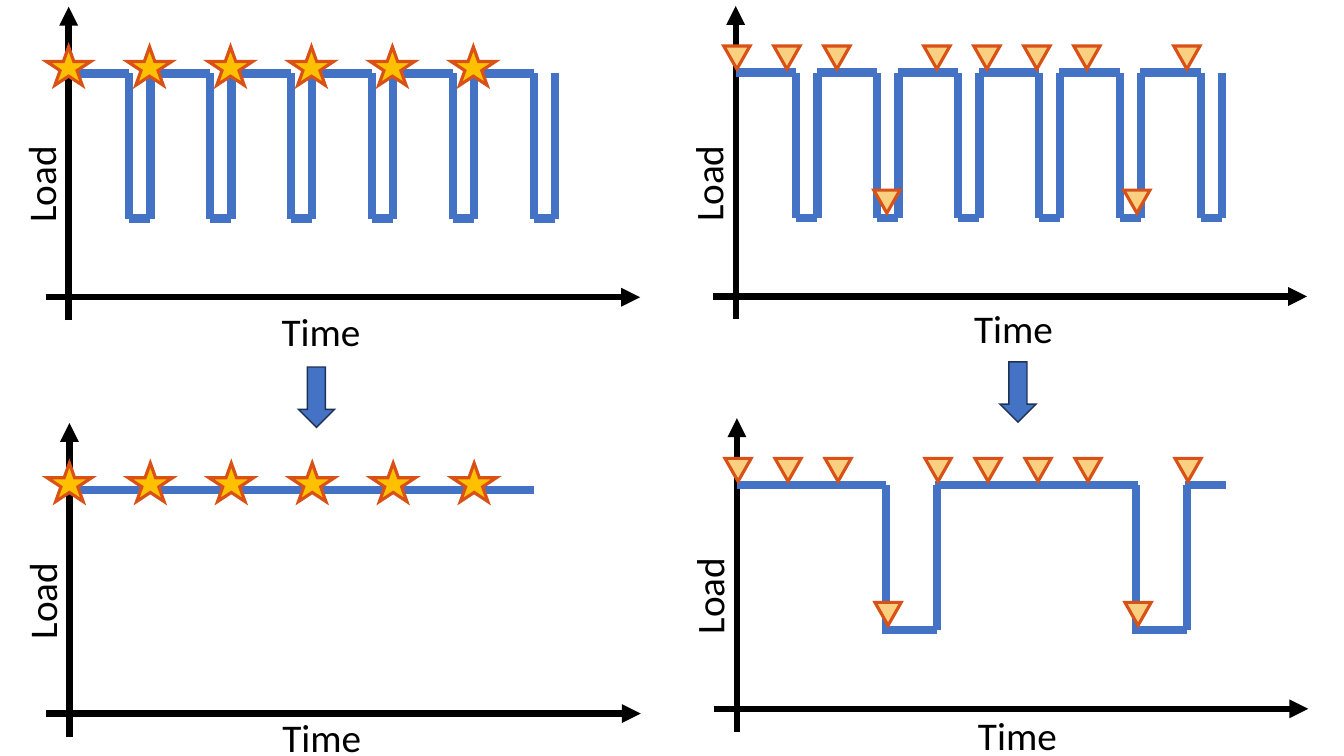
import pptx
import pptx.util
import pptx.dml.color
import pptx.enum.shapes
import pptx.enum.text
import pptx.oxml
import pptx.oxml.ns

Cm, Pt = pptx.util.Cm, pptx.util.Pt
RGB = pptx.dml.color.RGBColor.from_string
MSO = pptx.enum.shapes.MSO_SHAPE
STRAIGHT = pptx.enum.shapes.MSO_CONNECTOR.STRAIGHT
NS = pptx.oxml.ns.nsdecls("a")

COLORS = {"axis": "000000", "load": "4472C4", "star": "FFC000", "triangle": "FAD080",
          "marker_line": "D95117", "arrow_line": "1E3256"}

# Centimetres; heights are measured from the time axis of each panel
HIGH, LOW = -5.64, -1.98
PERIOD, ON = 2.04, 1.52
OFF = 0.54
SAMPLE = 1.26
LABEL_W, LABEL_H = 5.66, 1.45
LOW_SAMPLES = (3, 8)

prs = pptx.Presentation()
prs.slide_width, prs.slide_height = Cm(33.87), Cm(19.05)
s = prs.slides.add_slide(prs.slide_layouts[6])


def add_line(x1, y1, x2, y2, color, width, arrow=False):
    c = s.shapes.add_connector(STRAIGHT, Cm(x1), Cm(y1), Cm(x2), Cm(y2))
    c.line.color.rgb = RGB(COLORS[color])
    c.line.width = Pt(width)
    if arrow:
        c.line._get_or_add_ln().append(pptx.oxml.parse_xml(f'<a:tailEnd {NS} type="triangle"/>'))
    c._element.spPr.append(pptx.oxml.parse_xml(f"<a:effectLst {NS}/>"))


def add_figure(kind, x, y, w, h, fill, line, width, rotation=0):
    """Add a filled preset shape with sharp outline corners."""
    sp = s.shapes.add_shape(kind, Cm(x), Cm(y), Cm(w), Cm(h))
    sp.shadow.inherit = False
    sp.rotation = rotation
    sp.fill.solid()
    sp.fill.fore_color.rgb = RGB(COLORS[fill])
    sp.line.color.rgb = RGB(COLORS[line])
    sp.line.width = Pt(width)
    sp.line._get_or_add_ln().append(pptx.oxml.parse_xml(f'<a:miter {NS} lim="800000"/>'))


# Load curves as segments (x1, y1, x2, y2) from the origin of a panel
pulses = []
for i in range(6):
    start = i * PERIOD
    fall, rise = start + ON, start + ON + OFF
    pulses += [(start, HIGH, fall, HIGH), (fall, LOW, rise, LOW),
               (fall, HIGH, fall, LOW), (rise, HIGH, rise, LOW)]

constant = [(0, HIGH, 11.71, HIGH)]

aliased = [(0, HIGH, 3.76, HIGH), (11.3, HIGH, 12.32, HIGH), (5, HIGH, 10.11, HIGH)]
for fall, rise in ((3.76, 5.05), (10.06, 11.35)):
    aliased += [(fall - 0.1, LOW, rise, LOW), (fall, HIGH, fall, LOW), (rise, HIGH, rise, LOW)]

# Axis x, axis y, curve, marker, left and top of the "Time" label
panels = [
    (1.73, 7.49, pulses, "star", 5.26, 7.62),
    (1.75, 17.98, constant, "star", 5.28, 17.86),
    (18.54, 7.47, pulses, "triangle", 22.71, 7.54),
    (18.57, 17.86, aliased, "triangle", 22.81, 17.81),
]

for x, y, curve, marker, time_x, time_y in panels:
    add_line(x, y + 0.58, x, y - 7.32, "axis", 4.5, arrow=True)
    add_line(x - 0.58, y, x + 14.4, y, "axis", 4.5, arrow=True)

    for x1, y1, x2, y2 in curve:
        add_line(x + x1, y + y1, x + x2, y + y2, "load", 6)

    if marker == "star":
        for i in range(6):
            add_figure(MSO.STAR_5_POINT, x - 0.56 + i * PERIOD, y - 6.31, 1.12, 0.97,
                       "star", "marker_line", 2.25)
    else:
        for i in range(10):
            top = -2.68 if i in LOW_SAMPLES else -6.31
            add_figure(MSO.ISOSCELES_TRIANGLE, x - 0.3 + i * SAMPLE, y + top, 0.66, 0.58,
                       "triangle", "marker_line", 2.25, rotation=180)

    labels = [("Load", x - 0.7 - LABEL_W / 2, y - 2.84 - LABEL_H / 2, 270),
              ("Time", time_x, time_y, 0)]
    for text, left, top, rotation in labels:
        tb = s.shapes.add_textbox(Cm(left), Cm(top), Cm(LABEL_W), Cm(LABEL_H))
        tb.rotation = rotation
        tf = tb.text_frame
        tf.word_wrap = True
        tf.auto_size = pptx.enum.text.MSO_AUTO_SIZE.SHAPE_TO_FIT_TEXT
        p = tf.paragraphs[0]
        p.alignment = pptx.enum.text.PP_ALIGN.CENTER
        r = p.add_run()
        r.text = text
        for name, value in {"size": Pt(28), "name": "Calibri"}.items():
            setattr(r.font, name, value)
        r.font.color.rgb = RGB(COLORS["axis"])

for left, top in ((7.52, 9.25), (25.2, 9.12)):
    add_figure(MSO.DOWN_ARROW, left, top, 0.91, 1.52, "load", "arrow_line", 1)

prs.save("out.pptx")
